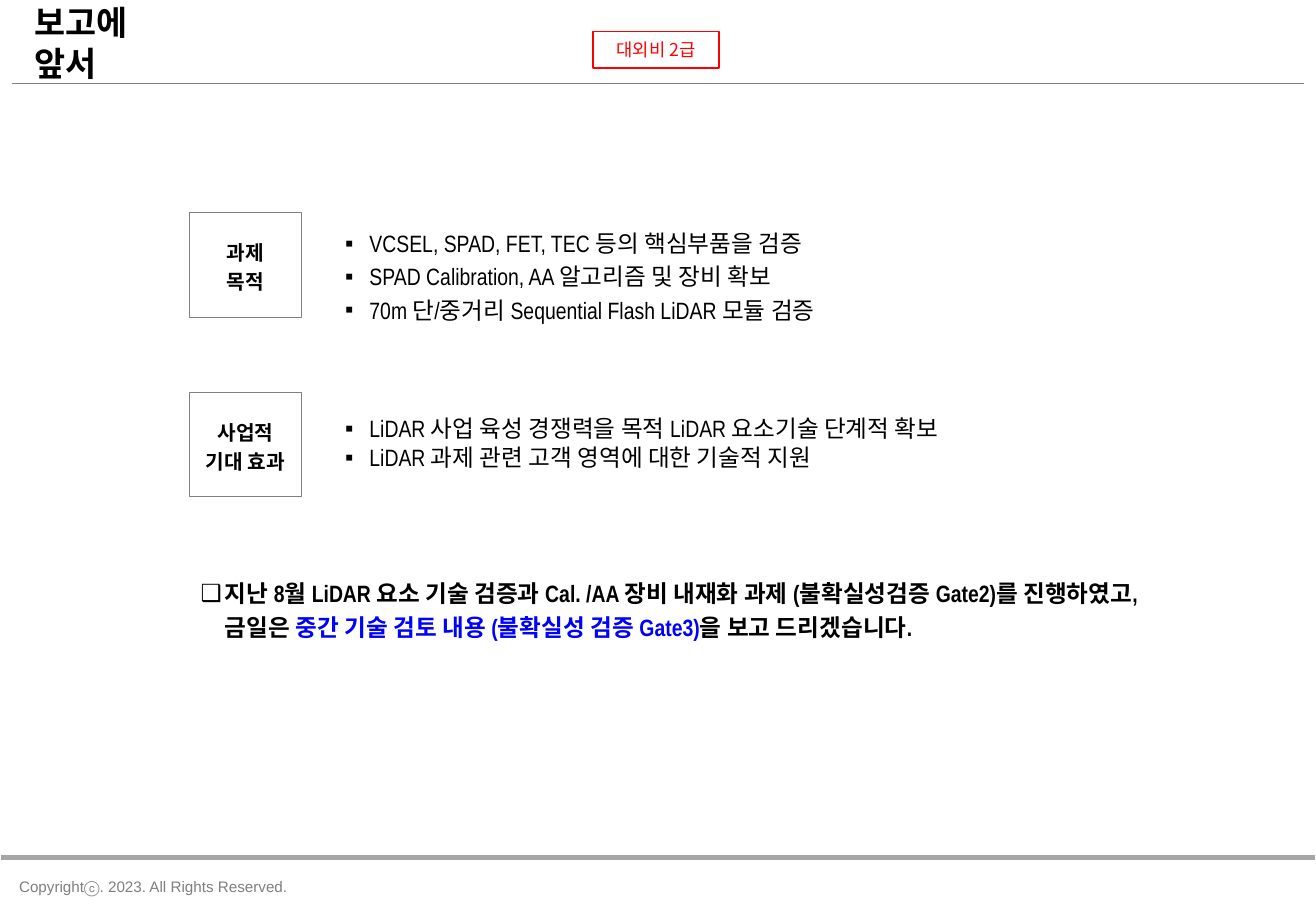
from dataclasses import dataclass

from lxml.etree import SubElement
from pptx import Presentation
from pptx.dml.color import RGBColor
from pptx.enum.shapes import MSO_CONNECTOR, MSO_SHAPE
from pptx.enum.text import MSO_ANCHOR, MSO_AUTO_SIZE, PP_ALIGN
from pptx.oxml.ns import qn
from pptx.util import Inches, Pt


@dataclass(frozen=True)
class Theme:
    black: str = "000000"
    white: str = "FFFFFF"
    red: str = "FF0000"
    blue: str = "0000FF"
    rule_grey: str = "808080"
    footer_grey: str = "A6A6A6"
    copyright_grey: str = "7F7F7F"
    narrow: str = "Arial Narrow"
    sans: str = "Arial"
    korean: str = "Noto Sans CJK KR"
    title: float = 20
    body: float = 14
    label: float = 12
    stamp: float = 10.5
    copyright: float = 9


THEME = Theme()
COLUMNS, ROWS = 108.3, 75  # grid of 0.1 inch cells


def cells(count):
    return Inches(count / 10)


def apply(target, values):
    for name, value in values.items():
        setattr(target, name, value)


class SlideBuilder:
    def __init__(self, deck, theme):
        self.theme = theme
        self.slide = deck.slides.add_slide(deck.slide_layouts[3])

    def place(self, shape, area):
        apply(shape, dict(zip(("left", "top", "width", "height"), map(cells, area))))

    def fill_text(self, shape, paragraphs, size, inset=0.4, anchor=MSO_ANCHOR.MIDDLE,
                  wrap=True, bullet=None, indent=2, tab=None, font=None, color=None,
                  bold=False, **spacing):
        """Fill a shape; each paragraph is a list of (text, colour or None)."""
        frame = shape.text_frame
        sides = ("margin_left", "margin_top", "margin_right", "margin_bottom")
        apply(frame, dict.fromkeys(sides, cells(inset)))
        apply(frame, {"auto_size": MSO_AUTO_SIZE.NONE, "word_wrap": wrap,
                      "vertical_anchor": anchor})
        for index, spans in enumerate(paragraphs):
            para = frame.add_paragraph() if index else frame.paragraphs[0]
            if bullet:
                self.add_bullet(para, bullet, indent, tab)
            apply(para, {"space_before": Pt(0), **spacing})
            for text, span_color in spans:
                span = para.add_run()
                span.text = text
                apply(span.font, {"size": Pt(size), "bold": bold,
                                  "name": font or self.theme.narrow})
                span.font.color.rgb = RGBColor.from_string(
                    span_color or color or self.theme.black)
                east_asian = SubElement(span._r.get_or_add_rPr(), qn("a:ea"))
                east_asian.set("typeface", self.theme.korean)

    def add_bullet(self, para, bullet, indent, tab):
        properties = para._p.get_or_add_pPr()
        properties.set("marL", str(cells(indent)))
        properties.set("indent", str(-cells(indent)))
        SubElement(properties, qn("a:buFont")).set("typeface", self.theme.sans)
        SubElement(properties, qn("a:buChar")).set("char", bullet)
        if tab:
            stop = SubElement(SubElement(properties, qn("a:tabLst")), qn("a:tab"))
            stop.set("pos", str(cells(tab)))
            stop.set("algn", "l")

    def title(self, text, area):
        shape = self.slide.shapes.title
        self.place(shape, area)
        self.fill_text(shape, [[(text, None)]], self.theme.title, bold=True,
                       alignment=PP_ALIGN.LEFT)

    def bullets(self, index, items, area, gap):
        shape = self.slide.placeholders[index]
        self.place(shape, area)
        self.fill_text(shape, [[(item, None)] for item in items], self.theme.body,
                       inset=0, bullet="▪", space_after=Pt(gap))

    def text(self, paragraphs, area, size, **style):
        box = self.slide.shapes.add_textbox(*map(cells, area))
        self.fill_text(box, paragraphs, size, **style)

    def frame(self, lines, area, size, outline, width, fill=None, **style):
        box = self.slide.shapes.add_shape(MSO_SHAPE.RECTANGLE, *map(cells, area))
        box.shadow.inherit = False
        if fill:
            box.fill.solid()
            box.fill.fore_color.rgb = RGBColor.from_string(fill)
        else:
            box.fill.background()
        box.line.color.rgb = RGBColor.from_string(outline)
        box.line.width = Pt(width)
        self.fill_text(box, [[(line, None)] for line in lines], size,
                       alignment=PP_ALIGN.CENTER, **style)

    def rule(self, margin, row, color, width):
        line = self.slide.shapes.add_connector(
            MSO_CONNECTOR.STRAIGHT, cells(margin), cells(row),
            cells(COLUMNS - margin), cells(row))
        line.line.color.rgb = RGBColor.from_string(color)
        line.line.width = Pt(width)
        SubElement(line._element.spPr, qn("a:effectLst"))


def main():
    deck = Presentation()
    apply(deck, {"slide_width": cells(COLUMNS), "slide_height": cells(ROWS)})
    page = SlideBuilder(deck, THEME)

    page.rule(0.1, 70.6, THEME.footer_grey, 3)
    page.text([[("Copyrightⓒ. 2023. All Rights Reserved.", None)]],
              (1.1, 71.9, 23, 2.2), THEME.copyright, inset=0.3, wrap=False,
              font=THEME.sans, color=THEME.copyright_grey, alignment=PP_ALIGN.CENTER)
    page.frame(["대외비 2급"], (48.8, 2.6, 10.4, 3), THEME.stamp, THEME.red, 1,
               wrap=False, font=THEME.korean, color=THEME.red)
    page.title("보고에 앞서", (2.4, 1.4, 13.7, 4.2))
    page.rule(1, 6.9, THEME.rule_grey, 0.75)

    sections = [
        (["과제", "목적"],
         ["VCSEL, SPAD, FET, TEC 등의 핵심부품을 검증",
          "SPAD Calibration, AA 알고리즘 및 장비 확보",
          "70m 단/중거리 Sequential Flash LiDAR 모듈 검증"], 18, 9.5, 3),
        (["사업적", "기대 효과"],
         ["LiDAR 사업 육성 경쟁력을 목적 LiDAR 요소기술 단계적 확보",
          "LiDAR 과제 관련 고객 영역에 대한 기술적 지원"], 33.3, 6.3, 0),
    ]
    for index, (label, items, top, height, gap) in enumerate(sections):
        page.frame(label, (15.6, 17.5 + 14.8 * index, 9.2, 8.6), THEME.label,
                   THEME.rule_grey, 0.25, fill=THEME.white, bold=True,
                   line_spacing=1.2)
        page.bullets(index + 1, items, (28.4, top, 66, height), gap)

    closing = [
        ("지난 8월 LiDAR 요소 기술 검증과 Cal. /AA 장비 내재화 과제 "
         "(불확실성검증 Gate2)를 진행하였고,\t금일은 ", None),
        ("중간 기술 검토 내용 (불확실성 검증 Gate3)", THEME.blue),
        ("을 보고 드리겠습니다.", None),
    ]
    page.text([closing], (16.5, 47.2, 78.5, 8.4), THEME.body, inset=0,
              anchor=MSO_ANCHOR.TOP, bullet="❑", tab=32.5, bold=True,
              line_spacing=1.2, space_after=Pt(7))
    deck.save("out.pptx")


if __name__ == "__main__":
    main()
